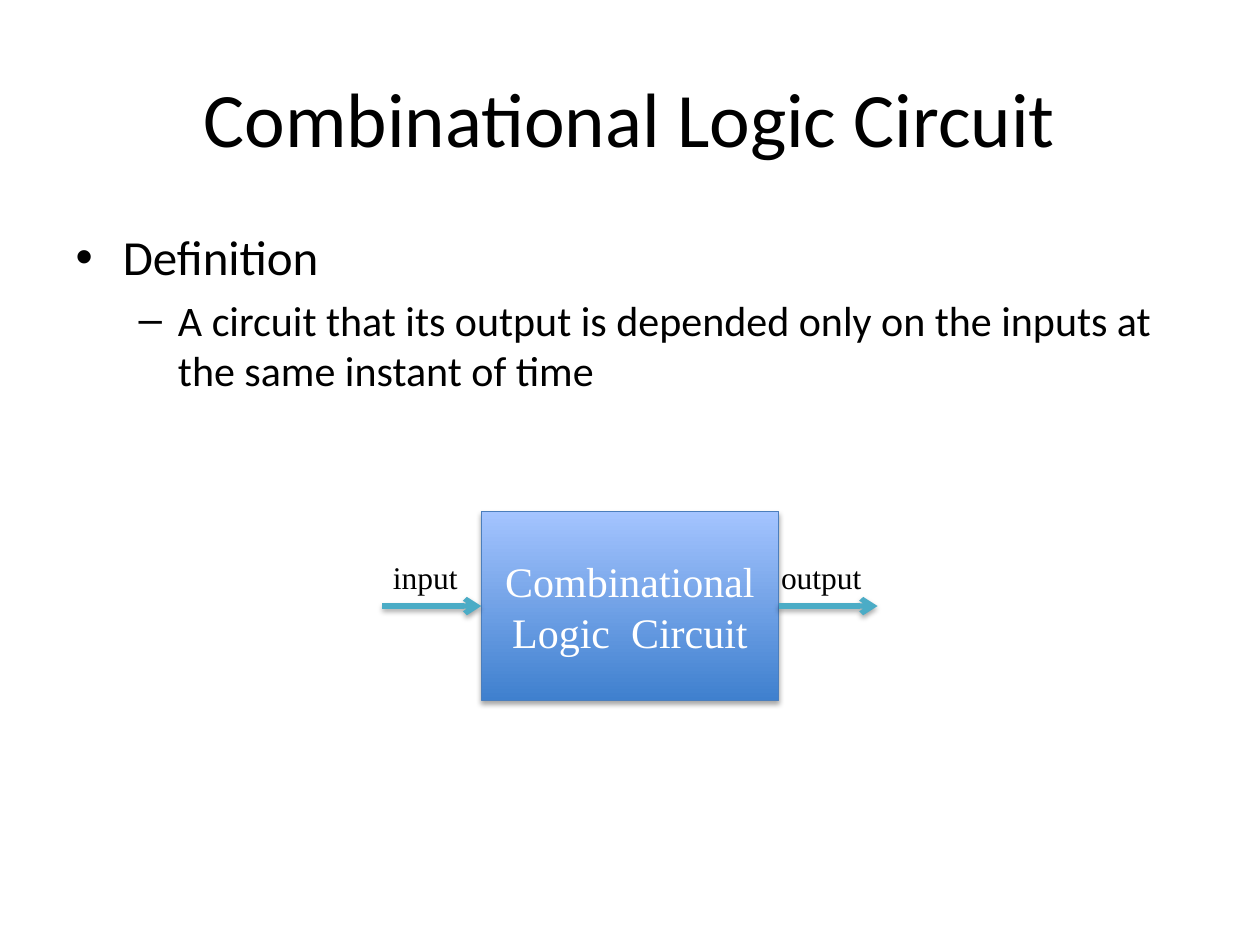
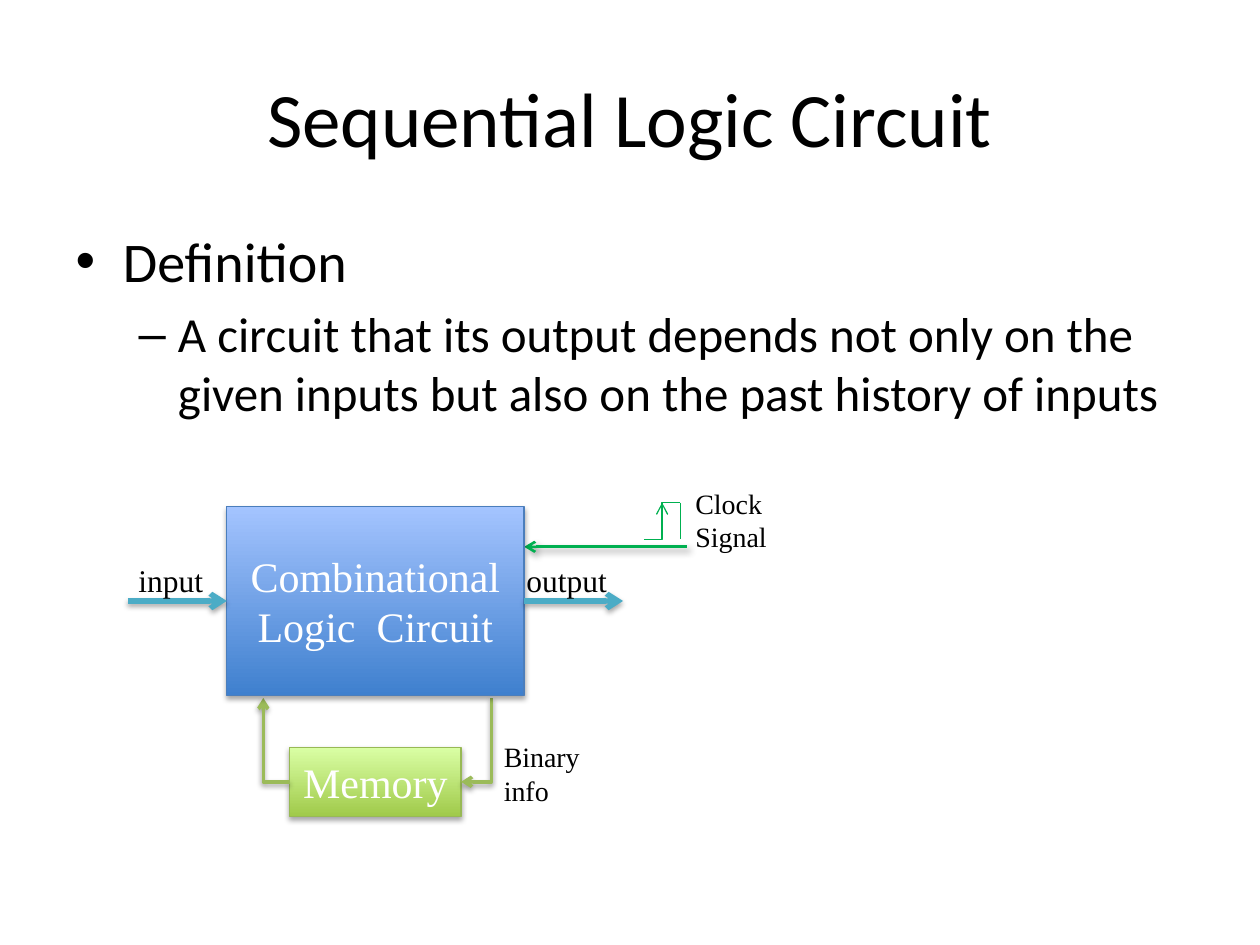
from dataclasses import dataclass

from lxml import etree
from pptx import Presentation
from pptx.dml.color import RGBColor
from pptx.enum.shapes import MSO_CONNECTOR, MSO_SHAPE
from pptx.enum.text import MSO_ANCHOR, MSO_AUTO_SIZE, PP_ALIGN
from pptx.oxml.ns import qn
from pptx.util import Inches, Pt

STRAIGHT, ELBOW = MSO_CONNECTOR.STRAIGHT, MSO_CONNECTOR.ELBOW
RECTANGLE = MSO_SHAPE.RECTANGLE
MIDDLE, TOP = MSO_ANCHOR.MIDDLE, MSO_ANCHOR.TOP
CENTER, LEFT = PP_ALIGN.CENTER, PP_ALIGN.LEFT
NO_FIT, GROW = MSO_AUTO_SIZE.NONE, MSO_AUTO_SIZE.SHAPE_TO_FIT_TEXT

WIDTH, HEIGHT = Inches(10), Inches(7.5)
COLUMNS, ROWS = 100, 75
TITLE_FONT, DIAGRAM_FONT = "Calibri", "Times New Roman"
COLORS = {
    "text": "000000",
    "white": "FFFFFF",
    "logic_dark": "3F80CE",
    "logic_light": "A4C4FF",
    "logic_line": "4B7EBC",
    "memory_dark": "A0CA4A",
    "memory_light": "DAFFA5",
    "memory_line": "98B955",
    "signal": "4BACC6",
    "feedback": "9BBB59",
    "clock": "00B050",
}
SOFT_SHADOW = dict(opacity=35, blur=3.1, distance=1.8, angle=90)
FEEDBACK_SHADOW = dict(opacity=38, blur=3.1, distance=1.6, angle=90)
CLOCK_SHADOW = dict(opacity=40, blur=4, distance=3, angle=45)


@dataclass
class Box:
    left: float
    top: float
    width: float
    height: float

    def inner(self, left, top, width, height):
        return Box(self.left + left, self.top + top, width, height)

    def point(self, across, down):
        return self.left + across, self.top + down

    def lengths(self):
        return (*to_lengths(self.left, self.top), *to_lengths(self.width, self.height))


TITLE_BOX = Box(5, 3, 90, 12.5)
BODY_BOX = Box(5, 17.5, 90, 49.5)


def to_lengths(column, row):
    return round(WIDTH * column / COLUMNS), round(HEIGHT * row / ROWS)


def color(name):
    return RGBColor.from_string(COLORS[name])


def write_text(para, text, size, font=DIAGRAM_FONT, fill="text", align=LEFT):
    para.alignment = align
    span = para.add_run()
    span.text = text
    span.font.size = Pt(size)
    span.font.name = font
    span.font.color.rgb = color(fill)


def set_effects(shape, shadow=None):
    properties = shape._element.spPr
    effects = properties.find(qn("a:effectLst"))
    if effects is None:
        effects = etree.SubElement(properties, qn("a:effectLst"))
    if shadow:
        outer = etree.SubElement(effects, qn("a:outerShdw"), {
            "blurRad": str(Pt(shadow["blur"])),
            "dist": str(Pt(shadow["distance"])),
            "dir": str(shadow["angle"] * 60000),
            "rotWithShape": "0",
        })
        tint = etree.SubElement(outer, qn("a:srgbClr"), val=COLORS["text"])
        etree.SubElement(tint, qn("a:alpha"), val=str(shadow["opacity"] * 1000))


def add_block(page, box, text, theme):
    block = page.shapes.add_shape(RECTANGLE, *box.lengths())
    block.fill.gradient()
    block.fill.gradient_angle = 90
    for stop, shade in zip(block.fill.gradient_stops, ("dark", "light")):
        stop.color.rgb = color(f"{theme}_{shade}")
    block.line.color.rgb = color(f"{theme}_line")
    block.line.width = Pt(0.75)
    block.shadow.inherit = False
    set_effects(block, SOFT_SHADOW)
    frame = block.text_frame
    frame.word_wrap = True
    frame.vertical_anchor = MIDDLE
    write_text(frame.paragraphs[0], text, 24, fill="white", align=CENTER)
    return block


def add_label(page, box, text, size, wrap):
    label = page.shapes.add_textbox(*box.lengths())
    frame = label.text_frame
    frame.word_wrap = wrap
    frame.auto_size = GROW
    write_text(frame.paragraphs[0], text, size)


def add_wire(page, start, end, stroke, weight, kind=STRAIGHT, arrow=None,
             shadow=None, corner=False):
    wire = page.shapes.add_connector(kind, *to_lengths(*start), *to_lengths(*end))
    wire.line.color.rgb = color(stroke)
    wire.line.width = Pt(weight)
    properties = wire._element.spPr
    if arrow:
        etree.SubElement(properties.find(qn("a:ln")), qn(f"a:{arrow}"), type="arrow")
    if corner:
        properties.find(qn("a:prstGeom")).set("prst", "bentConnector2")
    set_effects(wire, shadow)
    return wire


def add_logic(page, box, label_top):
    block = add_block(page, box, "Combinational Logic  Circuit", "logic")
    middle, reach = box.height / 2, 7.85
    style = dict(stroke="signal", weight=3, arrow="tailEnd", shadow=SOFT_SHADOW)
    incoming = add_wire(page, box.point(-reach, middle), box.point(0, middle), **style)
    incoming.end_connect(block, 1)
    outgoing = add_wire(page, box.point(box.width, middle),
                        box.point(box.width + reach, middle), **style)
    outgoing.begin_connect(block, 3)
    add_label(page, box.inner(-8, label_top, 7.2, 4), "input", 18, False)
    add_label(page, box.inner(box.width - 0.8, label_top, 8.5, 4), "output", 18, False)


def add_memory(page, box):
    memory = box.inner(5, box.height + 4.1, 13.6, 5.5)
    add_block(page, memory, "Memory", "memory")
    middle, loop_top = memory.height / 2, box.height + 0.2
    style = dict(stroke="feedback", weight=2, kind=ELBOW, shadow=FEEDBACK_SHADOW,
                 corner=True)
    add_wire(page, memory.point(memory.width, middle), box.point(21, loop_top),
             arrow="headEnd", **style)
    add_wire(page, memory.point(0, middle), box.point(2.9, loop_top),
             arrow="tailEnd", **style)
    add_label(page, box.inner(21, box.height + 3, 9.1, 6.4), "Binary info", 16, True)


def add_clock(page, box):
    add_wire(page, box.point(36.5, 3.2), box.point(box.width, 3.2), "clock", 1.5,
             arrow="tailEnd", shadow=CLOCK_SHADOW)
    pulse = box.inner(33.1, -0.3, 2.9, 2.9)
    rise = pulse.width / 2
    add_wire(page, pulse.point(0, pulse.height), pulse.point(pulse.width, 0),
             "clock", 0.75, kind=ELBOW)
    add_wire(page, pulse.point(pulse.width, 0), pulse.point(pulse.width, pulse.height),
             "clock", 0.75)
    add_wire(page, pulse.point(rise, pulse.height), pulse.point(rise, 0),
             "clock", 0.75, arrow="tailEnd")
    add_label(page, box.inner(36.2, -2.1, 7.9, 6.4), "Clock Signal", 16, True)


def place_holder(holder, box, anchor):
    holder.left, holder.top, holder.width, holder.height = box.lengths()
    frame = holder.text_frame
    frame.word_wrap = True
    frame.auto_size = NO_FIT
    frame.vertical_anchor = anchor
    return frame


def add_definition_page(deck, title, definition, sizes):
    page = deck.slides.add_slide(deck.slide_layouts[1])
    heading = place_holder(page.shapes.title, TITLE_BOX, MIDDLE)
    write_text(heading.paragraphs[0], title, 44, font=TITLE_FONT, align=CENTER)
    body = place_holder(page.placeholders[1], BODY_BOX, TOP)
    for level, (text, size) in enumerate(zip(("Definition", definition), sizes)):
        para = body.add_paragraph() if level else body.paragraphs[0]
        para.level = level
        para.space_before = Pt(size * 0.2 * level)
        write_text(para, text, size, font=TITLE_FONT)
    return page


def add_combinational_page(deck):
    page = add_definition_page(
        deck, "Combinational Logic Circuit",
        "A circuit that its output is depended only on the inputs at the same instant of time",
        (28, 24))
    add_logic(page, Box(38.2, 40.6, 23.6, 15), 3.2)


def add_sequential_page(deck):
    page = add_definition_page(
        deck, "Sequential Logic Circuit",
        "A circuit that its output depends not only on the given inputs "
        "but also on the past history of inputs",
        (32, 28))
    box = Box(18, 40.2, 23.6, 15)
    add_memory(page, box)
    add_clock(page, box)
    add_logic(page, box, 3.8)


def main():
    deck = Presentation()
    deck.slide_width, deck.slide_height = WIDTH, HEIGHT
    add_combinational_page(deck)
    add_sequential_page(deck)
    deck.save("out.pptx")


if __name__ == "__main__":
    main()
